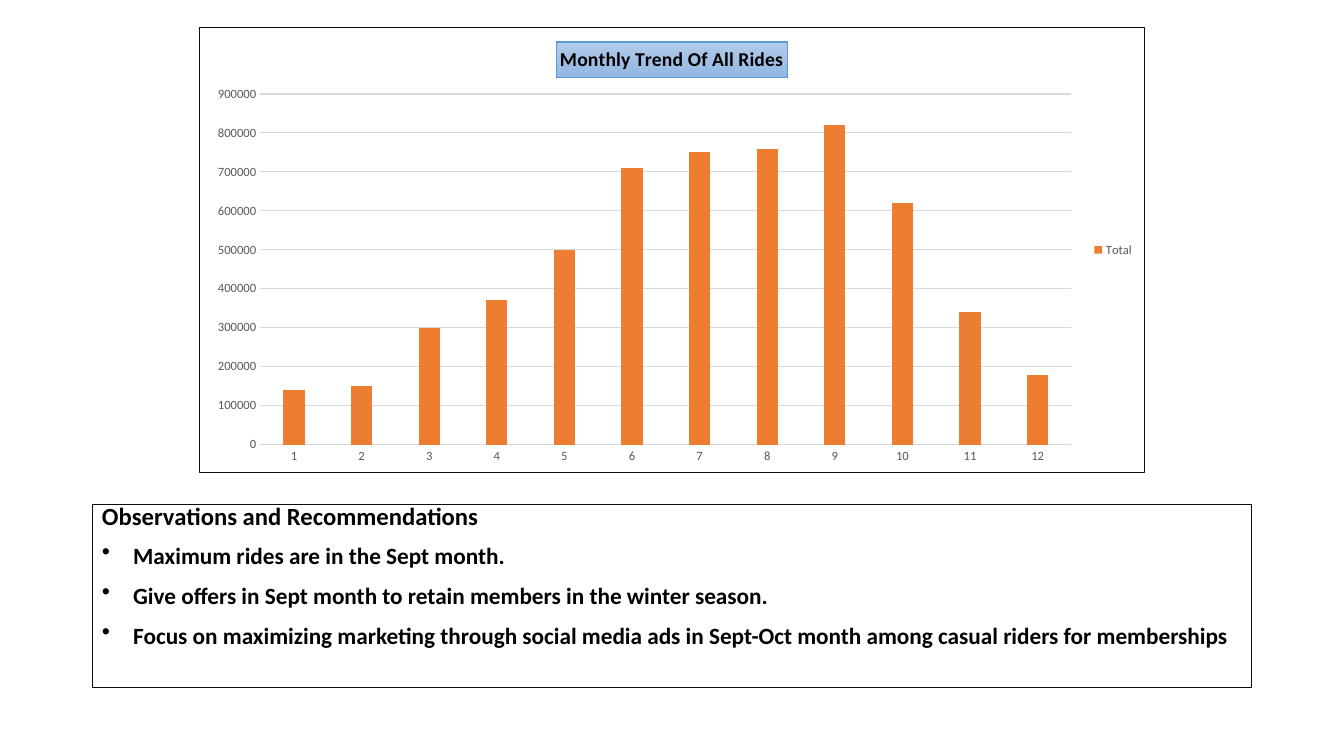
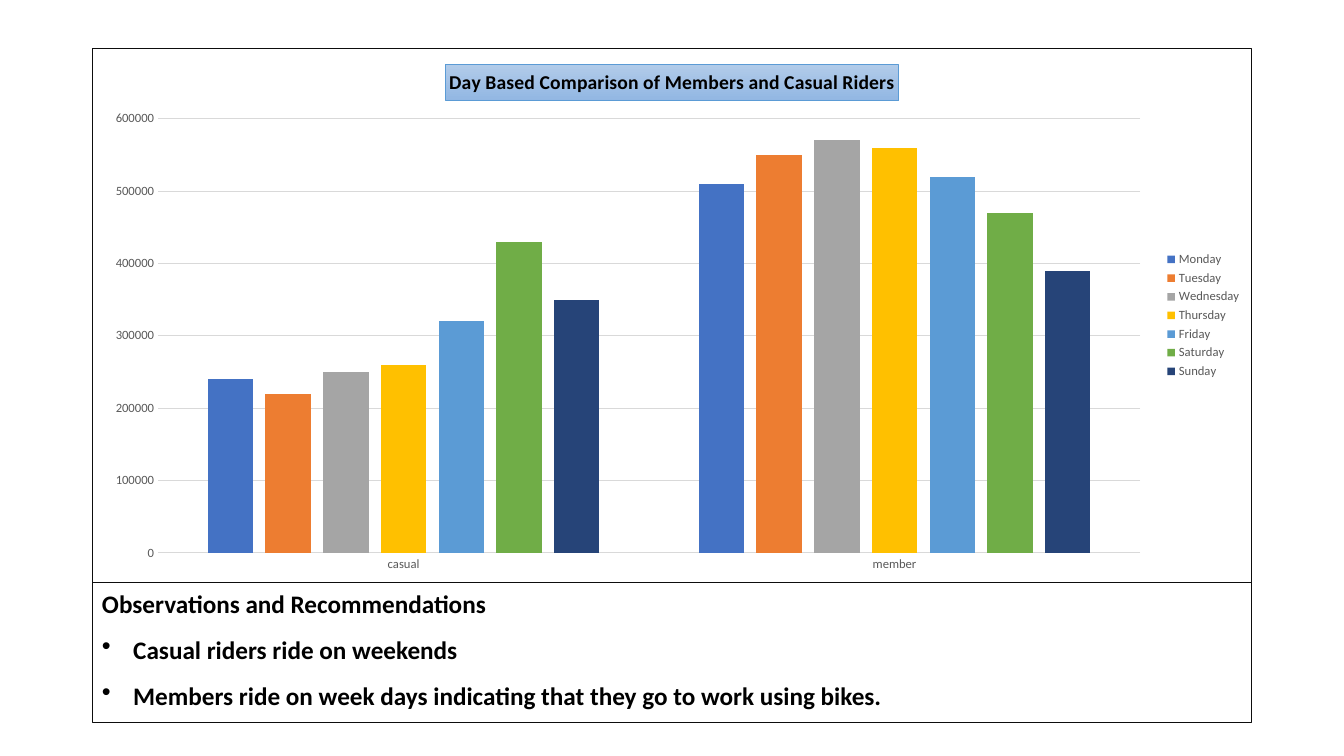
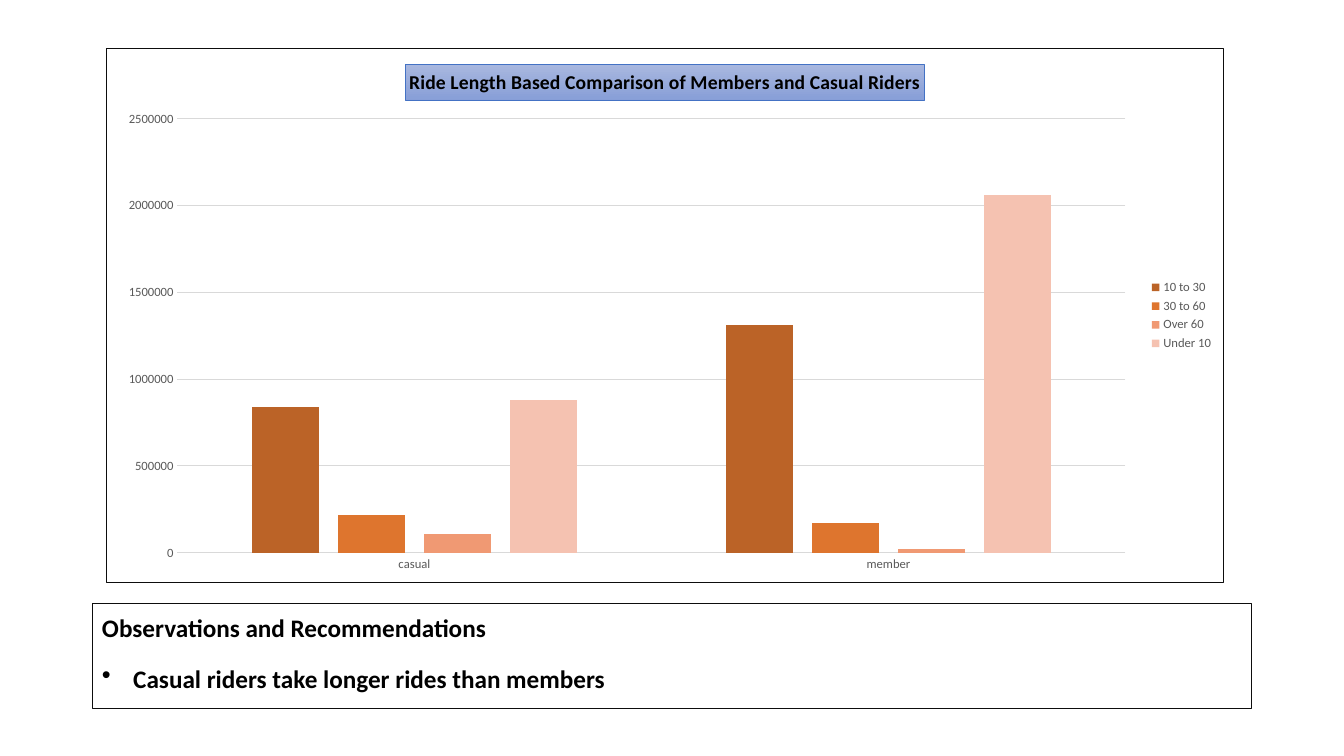
from lxml import etree
from pptx import Presentation
from pptx.chart.data import CategoryChartData
from pptx.dml.color import RGBColor
from pptx.enum.chart import XL_CHART_TYPE, XL_LEGEND_POSITION, XL_TICK_MARK
from pptx.enum.shapes import MSO_SHAPE
from pptx.enum.text import MSO_ANCHOR, PP_ALIGN
from pptx.oxml import parse_xml
from pptx.util import Inches, Pt

COLUMNS = XL_CHART_TYPE.COLUMN_CLUSTERED
LEGEND_RIGHT = XL_LEGEND_POSITION.RIGHT
NO_TICK = XL_TICK_MARK.NONE
RECTANGLE = MSO_SHAPE.RECTANGLE
TOP = MSO_ANCHOR.TOP
LEFT = PP_ALIGN.LEFT

FONT = "Calibri"
COLORS = {
    "text": "000000", "axis": "595959", "grid": "D9D9D9",
    "frame": "0D0D0D", "spacer": "8C8C8C",
    "blue": "4472C4", "orange": "ED7D31", "grey": "A5A5A5",
    "gold": "FFC000", "sky": "5B9BD5", "green": "70AD47", "navy": "264478",
    "rust": "BB6327", "amber": "DE752E", "salmon": "F09973", "blush": "F5C2B1",
}
SKY_BAND = ("B1CBE9", "92B7E3", "5B9BD5")
BLUE_BAND = ("A8B7DF", "879ED7", "4472C4")

WIDTH, HEIGHT = Inches(13.33), Inches(7.5)
NOTES_LEFT, NOTES_WIDTH = 6.85, 86.25
HEADING = "Observations and Recommendations"
RIDERS = ("casual", "member")

SLIDES = [
    {
        "title": "Monthly Trend Of All Rides",
        "band": SKY_BAND,
        "chart_area": (14.77, 3.6, 70.42, 58.93),
        "categories": [str(month) for month in range(1, 13)],
        "series": [
            ("Total", "orange", (140000, 150000, 300000, 370000, 500000, 710000,
                                 750000, 760000, 820000, 620000, 340000, 180000)),
        ],
        "notes_rows": (66.67, 24.27),
        "sizes": (17.6, 16.6, 22.2),
        "spacing": 0.7,
        "heading_spacer": False,
        "notes": [
            "Maximum rides are in the Sept month.",
            "Give offers in Sept month to retain members in the winter season.",
            "Focus on maximizing marketing through social media ads in Sept-Oct "
            "month among casual riders for memberships",
        ],
    },
    {
        "title": "Day Based Comparison of Members and Casual Riders",
        "band": SKY_BAND,
        "chart_area": (6.85, 6.4, 86.32, 70.67),
        "categories": RIDERS,
        "series": [
            ("Monday", "blue", (240000, 510000)),
            ("Tuesday", "orange", (220000, 550000)),
            ("Wednesday", "grey", (250000, 570000)),
            ("Thursday", "gold", (260000, 560000)),
            ("Friday", "sky", (320000, 520000)),
            ("Saturday", "green", (430000, 470000)),
            ("Sunday", "navy", (350000, 390000)),
        ],
        "notes_rows": (77.07, 18.53),
        "sizes": (18, 18, 24),
        "spacing": 0.8,
        "heading_spacer": True,
        "notes": [
            "Casual riders ride on weekends",
            "Members ride on week days indicating that they go to work using bikes.",
        ],
    },
    {
        "title": "Ride Length Based Comparison of Members and Casual Riders",
        "band": BLUE_BAND,
        "chart_area": (7.88, 6.4, 83.2, 70.67),
        "categories": RIDERS,
        "series": [
            ("10 to 30", "rust", (840000, 1310000)),
            ("30 to 60", "amber", (220000, 170000)),
            ("Over 60", "salmon", (110000, 20000)),
            ("Under 10", "blush", (880000, 2060000)),
        ],
        "notes_rows": (79.87, 13.87),
        "sizes": (18, 18, 24),
        "spacing": 0.9,
        "heading_spacer": True,
        "notes": ["Casual riders take longer rides than members"],
    },
]

DRAWING_NS = "http://schemas.openxmlformats.org/drawingml/2006/main"
CHART_NS = "http://schemas.openxmlformats.org/drawingml/2006/chart"


def rgb(name):
    return RGBColor.from_string(COLORS.get(name, name))


def place(left, top, width, height):
    return (int(WIDTH * left / 100), int(HEIGHT * top / 100),
            int(WIDTH * width / 100), int(HEIGHT * height / 100))


def style_font(font, size, color, bold=False):
    font.name, font.size, font.bold = FONT, Pt(size), bold
    font.color.rgb = rgb(color)


def style_line(line, color):
    line.color.rgb = rgb(color)
    line.width = Pt(0.75)


def add_run(paragraph, text, size, color, bold):
    run = paragraph.add_run()
    run.text = text
    style_font(run.font, size, color, bold)


def add_bullet(paragraph):
    props = paragraph._p.get_or_add_pPr()
    props.set("marL", str(Inches(0.31)))
    props.set("indent", str(-Inches(0.31)))
    etree.SubElement(props, f"{{{DRAWING_NS}}}buFont", typeface="Arial")
    etree.SubElement(props, f"{{{DRAWING_NS}}}buChar", char="•")


def frame_chart(chart):
    root = chart.element
    root.find(f"{{{CHART_NS}}}chart").addnext(parse_xml(
        f'<c:spPr xmlns:c="{CHART_NS}" xmlns:a="{DRAWING_NS}"><a:noFill/>'
        f'<a:ln w="{Pt(0.75)}"><a:solidFill><a:srgbClr val="{COLORS["frame"]}"/>'
        '</a:solidFill></a:ln></c:spPr>'))


def add_title(chart, text, band):
    chart.has_title = True
    title = chart.chart_title
    title.include_in_layout = False
    add_run(title.text_frame.paragraphs[0], text, 14, "text", True)
    fill = title.format.fill
    fill.gradient()
    fill.gradient_angle = 270
    for stop, color, position in zip(fill.gradient_stops, band, (0, 1)):
        stop.color.rgb = rgb(color)
        stop.position = position
    style_line(title.format.line, band[2])


def add_rides_chart(slide, content):
    data = CategoryChartData()
    data.categories = content["categories"]
    for name, _, values in content["series"]:
        data.add_series(name, values)
    chart = slide.shapes.add_chart(COLUMNS, *place(*content["chart_area"]), data).chart
    style_font(chart.font, 10, "text")
    frame_chart(chart)
    add_title(chart, content["title"], content["band"])

    plot = chart.plots[0]
    plot.gap_width, plot.overlap, plot.vary_by_categories = 219, -27, False
    for series, (_, color, _) in zip(plot.series, content["series"]):
        series.format.fill.solid()
        series.format.fill.fore_color.rgb = rgb(color)

    for axis in (chart.category_axis, chart.value_axis):
        axis.major_tick_mark = axis.minor_tick_mark = NO_TICK
        style_font(axis.tick_labels.font, 9, "axis")
    style_line(chart.category_axis.format.line, "grid")
    chart.value_axis.format.line.fill.background()
    style_line(chart.value_axis.major_gridlines.format.line, "grid")

    chart.has_legend = True
    chart.legend.position = LEGEND_RIGHT
    chart.legend.include_in_layout = False
    style_font(chart.legend.font, 9, "axis")


def add_notes(slide, content):
    top, height = content["notes_rows"]
    box = slide.shapes.add_shape(RECTANGLE, *place(NOTES_LEFT, top, NOTES_WIDTH, height))
    box.shadow.inherit = False
    box.fill.background()
    style_line(box.line, "frame")
    frame = box.text_frame
    frame.word_wrap = True
    frame.vertical_anchor = TOP
    heading_size, note_size, spacer_size = content["sizes"]
    for index, text in enumerate([HEADING, *content["notes"]]):
        paragraph = frame.add_paragraph() if index else frame.paragraphs[0]
        paragraph.alignment = LEFT
        paragraph.line_spacing = content["spacing"]
        paragraph.space_before = Pt(10 if index else 0)
        if index:
            add_bullet(paragraph)
        add_run(paragraph, text, note_size if index else heading_size, "text", True)
        if index or content["heading_spacer"]:
            add_run(paragraph, " ", spacer_size, "spacer", False)


def main():
    deck = Presentation()
    deck.slide_width, deck.slide_height = WIDTH, HEIGHT
    for content in SLIDES:
        slide = deck.slides.add_slide(deck.slide_layouts[6])
        add_notes(slide, content)
        add_rides_chart(slide, content)
    deck.save("out.pptx")


if __name__ == "__main__":
    main()
